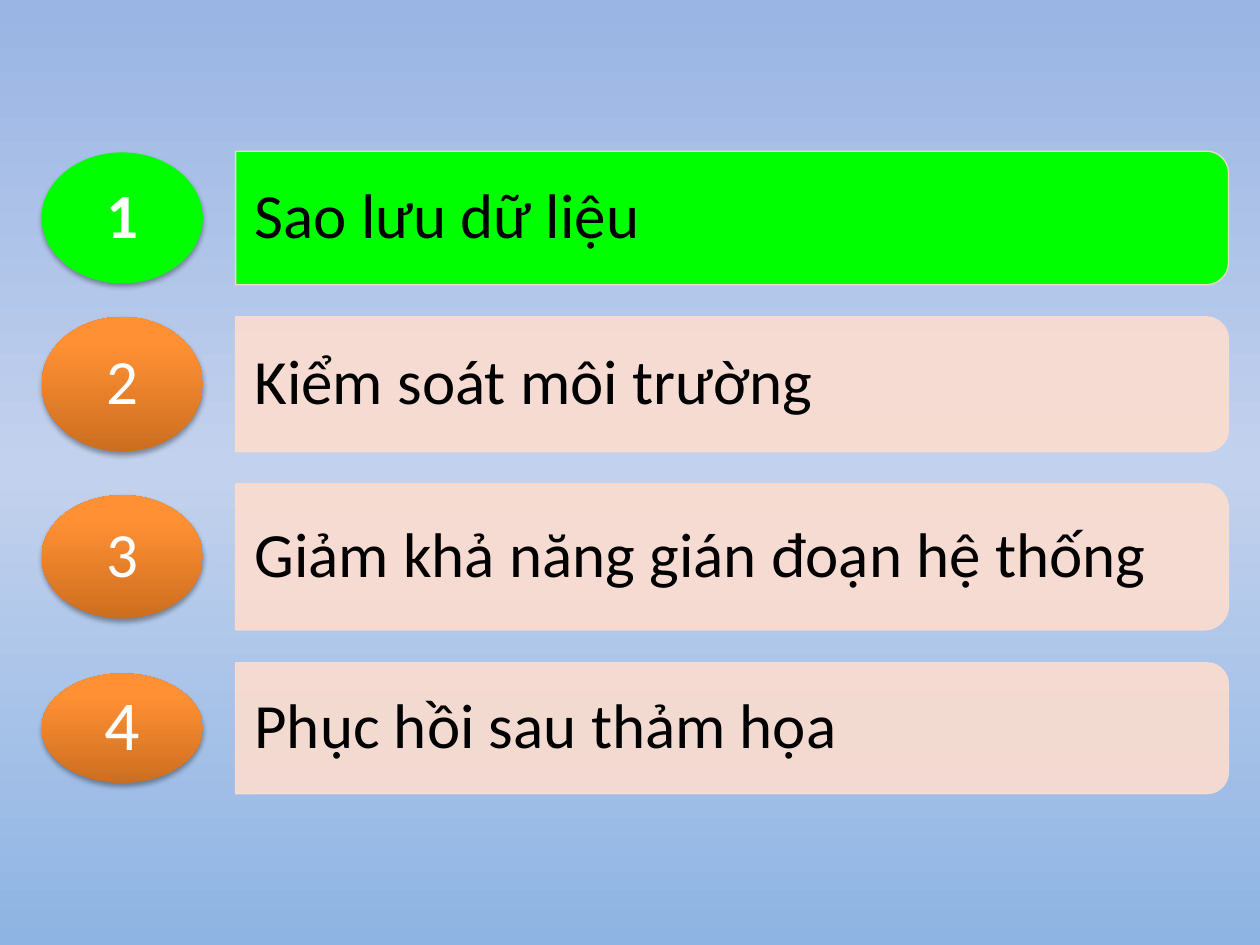
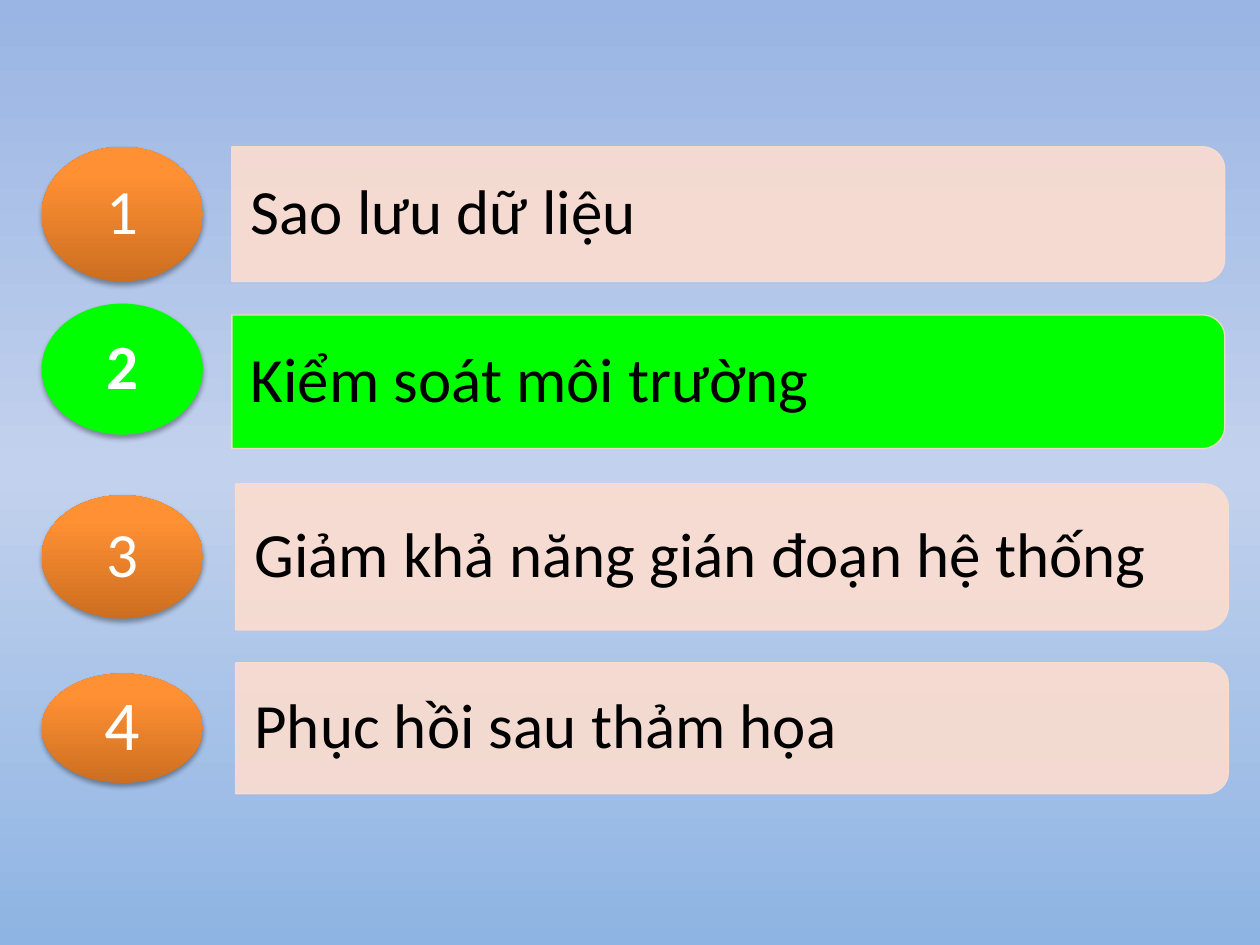
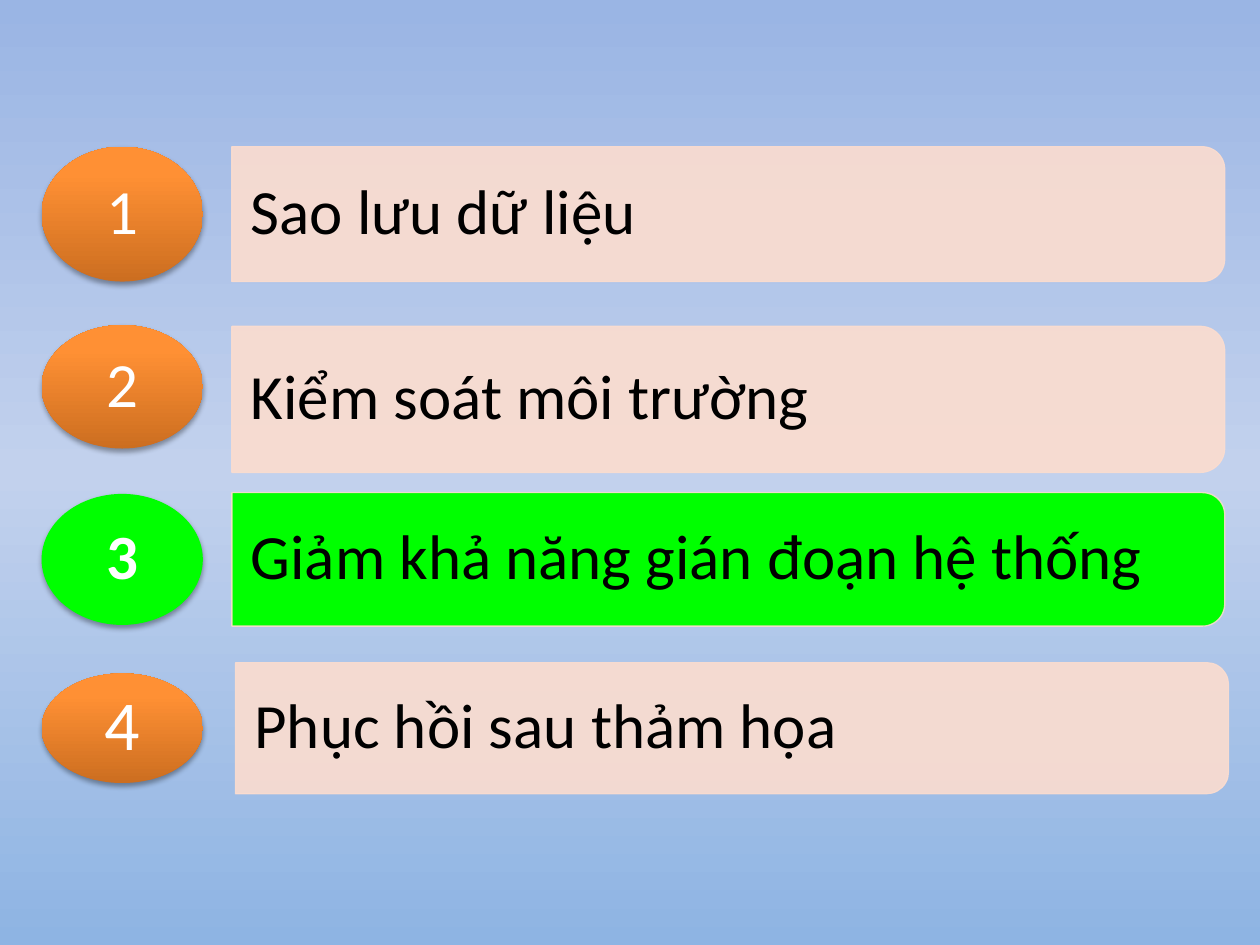
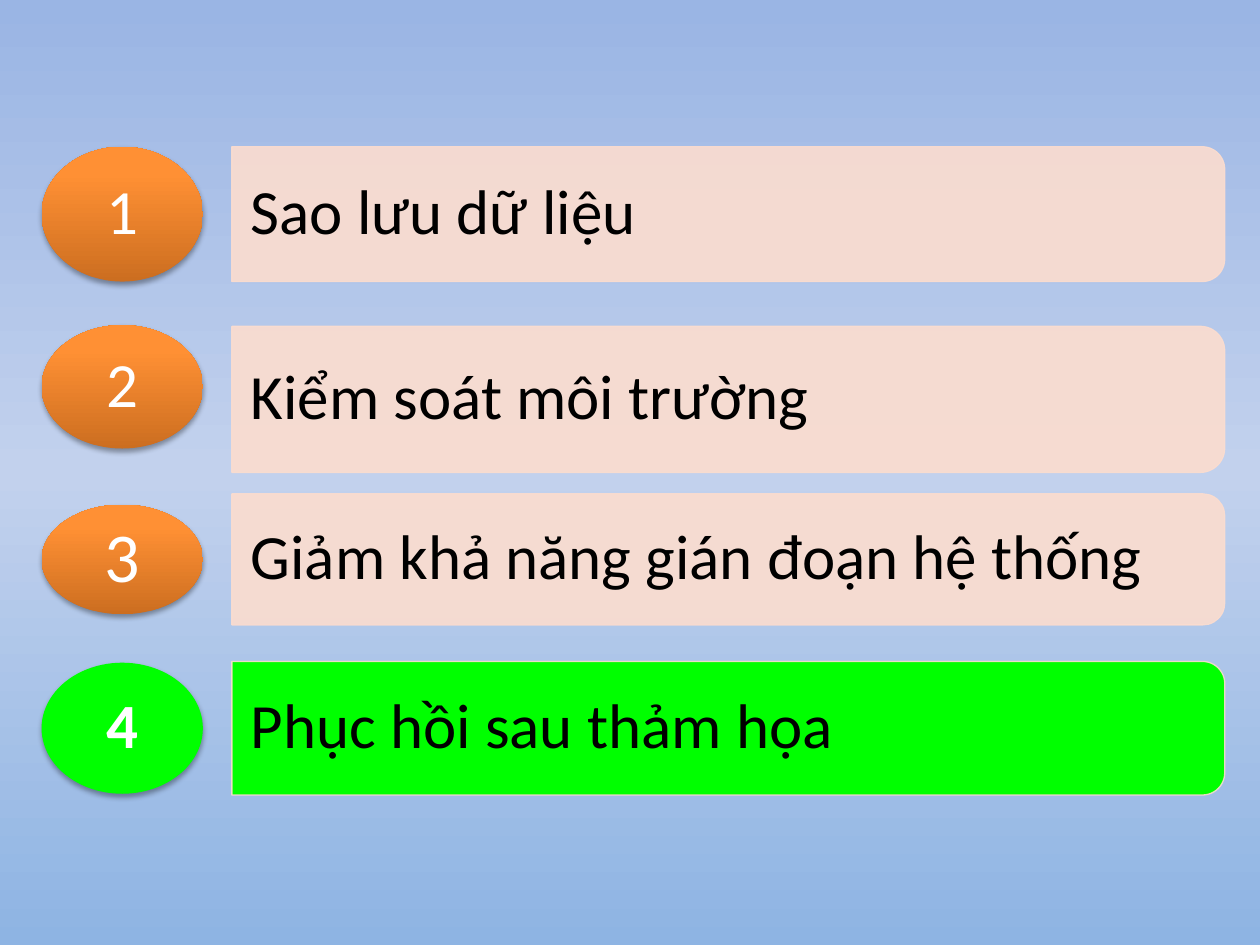
import pptx
import pptx.dml.color
import pptx.enum.shapes
import pptx.enum.text
import pptx.oxml
import pptx.oxml.ns
import pptx.util
from lxml import etree

RGB = pptx.dml.color.RGBColor
GREEN = RGB(0x00, 0xFF, 0x00)
PEACH = RGB(0xFC, 0xDD, 0xCF)
BLACK = RGB(0x00, 0x00, 0x00)
WHITE = RGB(0xFF, 0xFF, 0xFF)
SKY = [(0, RGB(0x9A, 0xB5, 0xE4)), (50, RGB(0xC2, 0xD1, 0xED)), (100, RGB(0x8E, 0xB4, 0xE3))]
ORANGE = [(0, RGB(0xCC, 0x6E, 0x20)), (80, RGB(0xFF, 0x90, 0x34)), (100, RGB(0xFF, 0x91, 0x36))]

FONT = "Calibri"
TOPICS = [
    "Sao lưu dữ liệu",
    "Kiểm soát môi trường",
    "Giảm khả năng gián đoạn hệ thống",
    "Phục hồi sau thảm họa",
]
MIDDLES_BEFORE = [1.70, 3.17, 4.44]
MIDDLES_CURRENT = [1.73, 3.03, 4.44, 5.78]
MIDDLES_AFTER = [1.73, 3.05, 4.42, 5.78]
CURRENT_SIZES = (1.06, 1.04, 36)
OTHER_SIZES = [(1.07, 1.07, 36), (1.16, 0.98, 36), (1.04, 0.87, 40)]
BAR_WIDTH = 7.88
BADGE_CENTER, BADGE_WIDTH = 0.97, 1.28
INSCRIBED = 0.7

inch = pptx.util.Inches
qn = pptx.oxml.ns.qn
NS = pptx.oxml.ns.nsdecls("a")


def set_gradient(owner, fill, stops, angle):
    fill.gradient()
    gradient = owner.find(".//" + qn("a:gradFill"))
    for part in list(gradient):
        gradient.remove(part)
    stop_list = etree.SubElement(gradient, qn("a:gsLst"))
    for position, color in stops:
        stop = etree.SubElement(stop_list, qn("a:gs"), pos=str(position * 1000))
        etree.SubElement(stop, qn("a:srgbClr"), val=str(color))
    etree.SubElement(gradient, qn("a:lin"), ang=str(angle * 60000), scaled="0")


def add_text(slide, left, middle, width, height, text, size, color, centered=False, bold=False):
    box = slide.shapes.add_textbox(inch(left), inch(middle - height / 2), inch(width), inch(height))
    frame = box.text_frame
    frame.word_wrap = True
    frame.vertical_anchor = pptx.enum.text.MSO_ANCHOR.MIDDLE
    frame.margin_left = frame.margin_right = inch(0 if centered else 0.15)
    frame.margin_top = frame.margin_bottom = inch(0 if centered else 0.1)
    frame.text = text
    paragraph = frame.paragraphs[0]
    paragraph.line_spacing = 0.9
    if centered:
        paragraph.alignment = pptx.enum.text.PP_ALIGN.CENTER
    font = paragraph.runs[0].font
    font.name, font.size, font.bold = FONT, pptx.util.Pt(size), bold
    font.color.rgb = color


deck = pptx.Presentation()
deck.slide_width, deck.slide_height = inch(10), inch(7.5)
blank = deck.slide_layouts[6]
master = deck.slide_master
set_gradient(master.element, master.background.fill, SKY, 90)

for current in range(len(TOPICS)):
    slide = deck.slides.add_slide(blank)
    others = [row for row in range(len(TOPICS)) if row != current]
    sizes = [CURRENT_SIZES] + OTHER_SIZES
    for row, (bar_height, badge_height, number_size) in zip([current] + others, sizes):
        is_current = row == current
        if is_current:
            middle = MIDDLES_CURRENT[row]
        elif row < current:
            middle = MIDDLES_BEFORE[row]
        else:
            middle = MIDDLES_AFTER[row]
        bar_left = 1.84 if 0 < current and row <= current else 1.87
        badge_middle = middle - 0.1 if row == 1 and current > 0 else middle

        bar = slide.shapes.add_shape(
            pptx.enum.shapes.MSO_SHAPE.ROUND_2_SAME_RECTANGLE,
            inch(bar_left + (BAR_WIDTH - bar_height) / 2), inch(middle - BAR_WIDTH / 2),
            inch(bar_height), inch(BAR_WIDTH))
        bar.rotation = 90
        bar.shadow.inherit = False
        bar.fill.solid()
        bar.fill.fore_color.rgb = GREEN if is_current else PEACH
        bar.line.color.rgb = PEACH
        bar.line.width = pptx.util.Pt(0.75)
        for color in bar.element.spPr.iter(qn("a:srgbClr")):
            if color.get("val") == str(PEACH):
                etree.SubElement(color, qn("a:alpha"), val="90000")
        add_text(slide, bar_left, middle, 7.83, bar_height - 0.11, TOPICS[row], 36, BLACK)

        badge = slide.shapes.add_shape(
            pptx.enum.shapes.MSO_SHAPE.OVAL,
            inch(BADGE_CENTER - BADGE_WIDTH / 2), inch(badge_middle - badge_height / 2),
            inch(BADGE_WIDTH), inch(badge_height))
        if is_current:
            badge.fill.solid()
            badge.fill.fore_color.rgb = GREEN
        else:
            set_gradient(badge.element.spPr, badge.fill, ORANGE, 270)
        badge.line.fill.background()
        badge.shadow.inherit = False
        badge.element.spPr.find(qn("a:effectLst")).append(pptx.oxml.parse_xml(
            f'<a:outerShdw {NS} blurRad="{pptx.util.Pt(3.1)}" dist="{pptx.util.Pt(1.8)}" '
            f'dir="5400000" rotWithShape="0"><a:srgbClr val="{BLACK}">'
            '<a:alpha val="35000"/></a:srgbClr></a:outerShdw>'))
        number_width = BADGE_WIDTH * INSCRIBED
        add_text(slide, BADGE_CENTER - number_width / 2, badge_middle, number_width,
                 badge_height * INSCRIBED, str(row + 1), number_size, WHITE,
                 centered=True, bold=is_current)

deck.save("out.pptx")
